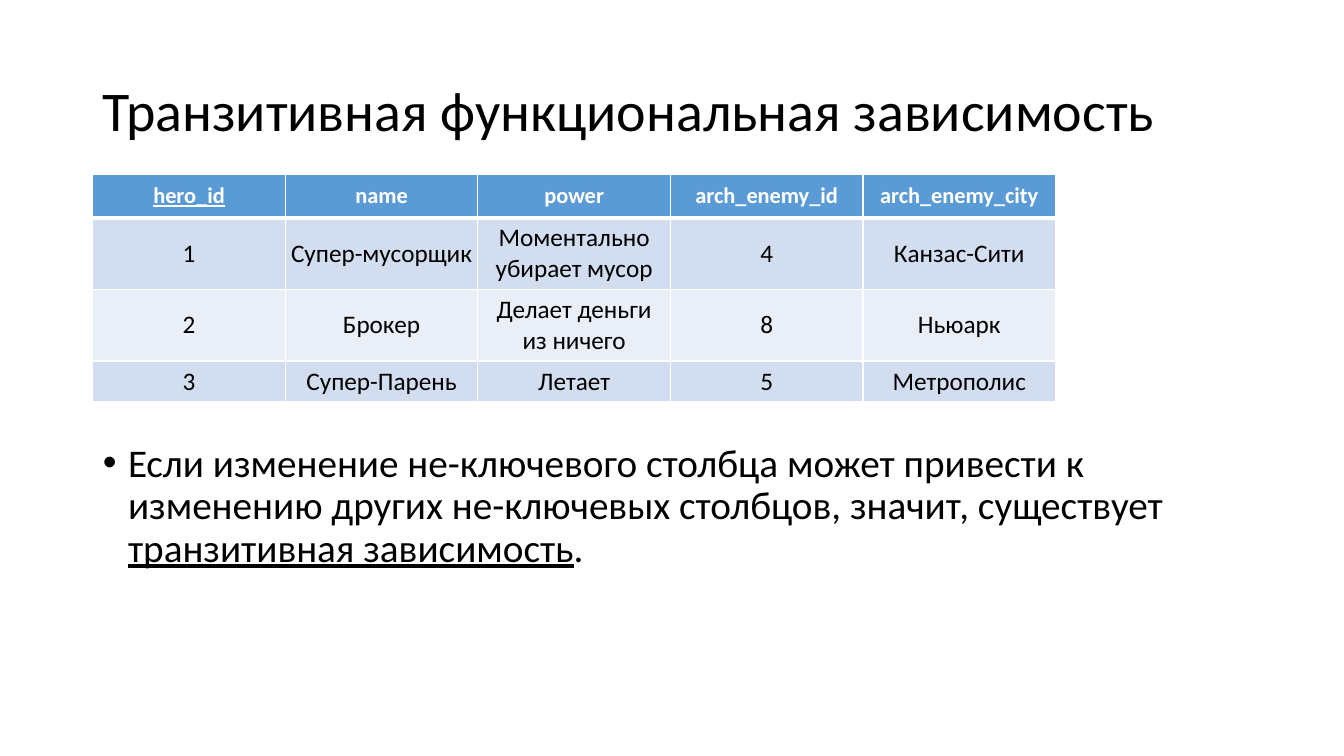
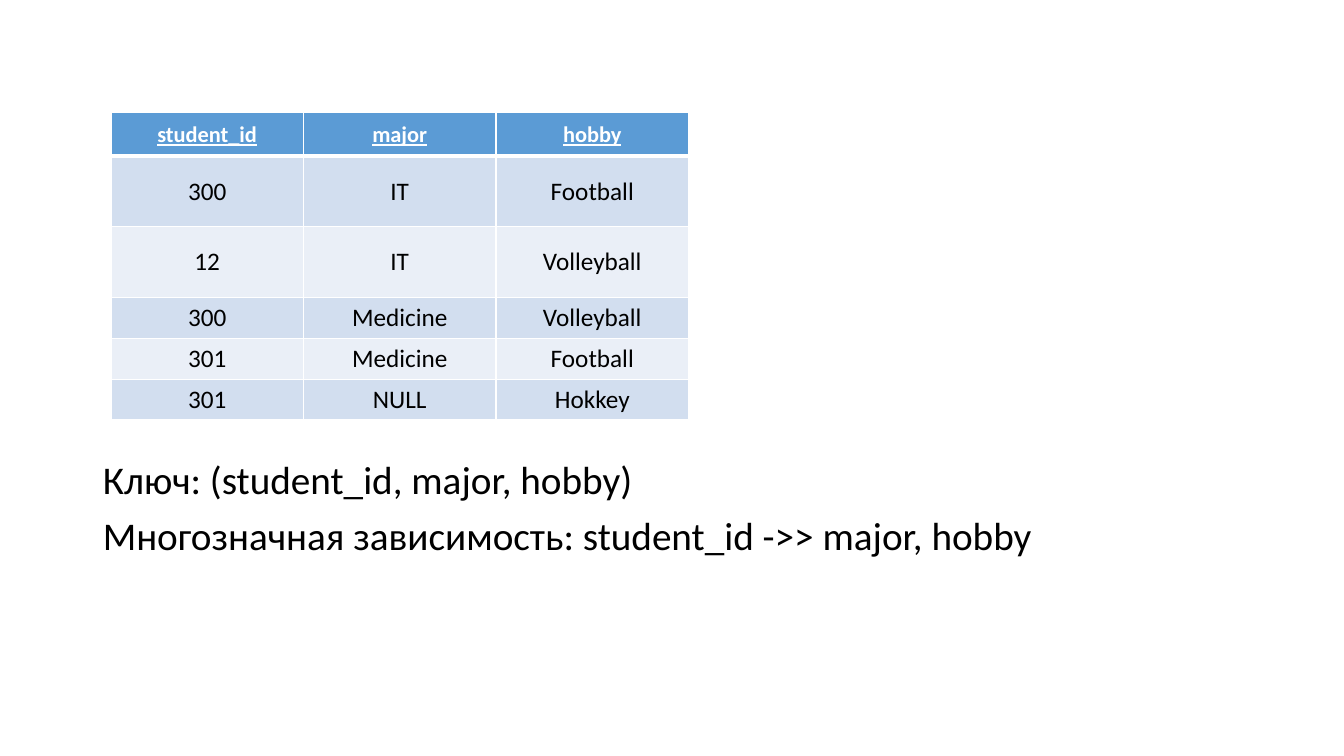
from lxml.etree import SubElement
from pptx import Presentation
from pptx.dml.color import RGBColor
from pptx.enum.text import MSO_ANCHOR, PP_ALIGN
from pptx.oxml import parse_xml
from pptx.oxml.ns import nsdecls, qn
from pptx.util import Inches, Pt

# Content: runs are (text, underlined)
SLIDES = [
    {
        "title": "Транзитивная функциональная зависимость",
        "table": {
            "at": (0.92, 1.73),
            "keys": {"hero_id"},
            "heights": [0.43, 0.7, 0.7, 0.4],
            "rows": [
                ("hero_id", "name", "power", "arch_enemy_id", "arch_enemy_city"),
                ("1", "Супер-мусорщик", "Моментально убирает мусор", "4", "Канзас-Сити"),
                ("2", "Брокер", "Делает деньги из ничего", "8", "Ньюарк"),
                ("3", "Супер-Парень", "Летает", "5", "Метрополис"),
            ],
        },
        "body_top": 4.35,
        "bullets": True,
        "body": [
            [("Если изменение не-ключевого столбца может привести к изменению "
              "других не-ключевых столбцов, значит, существует ", False),
             ("транзитивная зависимость", True),
             (".", False)],
        ],
    },
    {
        "title": None,
        "table": {
            "at": (1.1, 1.12),
            "keys": {"student_id", "major", "hobby"},
            "heights": [0.43, 0.7, 0.7, 0.4, 0.4, 0.4],
            "rows": [
                ("student_id", "major", "hobby"),
                ("300", "IT", "Football"),
                ("12", "IT", "Volleyball"),
                ("300", "Medicine", "Volleyball"),
                ("301", "Medicine", "Football"),
                ("301", "NULL", "Hokkey"),
            ],
        },
        "body_top": 4.52,
        "bullets": False,
        "body": [
            [("Ключ: (student_id, major, hobby)", False)],
            [("Многозначная зависимость: student_id ->> major, hobby", False)],
        ],
    },
]

THEME = {
    "font": "Calibri",
    "text": "000000", "white": "FFFFFF",
    "header": "5B9BD5", "bands": ("D2DEEF", "EAEFF7"),
    "title_size": 40, "body_size": 28, "header_size": 16, "cell_size": 18,
    "border": 1, "header_border": 3,
}
LEFT, WIDTH = 0.92, 11.5
TITLE_TOP, TITLE_HEIGHT = 0.4, 1.45
BODY_BOTTOM = 6.76
COL_WIDTH = 1.91
CELL_INSET = 0.05


def place(sp, left, top, width, height):
    box = {"left": left, "top": top, "width": width, "height": height}
    for name, value in box.items():
        setattr(sp, name, Inches(value))


def add_run(p, text, size, color=THEME["text"], **extra):
    r = p.add_run()
    r.text = text
    for name, value in {"name": THEME["font"], "size": Pt(size), **extra}.items():
        setattr(r.font, name, value)
    r.font.color.rgb = RGBColor.from_string(color)


def set_borders(cell, top, bottom):
    widths = {"lnL": THEME["border"], "lnR": THEME["border"], "lnT": top, "lnB": bottom}
    tcPr = cell._tc.get_or_add_tcPr()
    for i, (tag, width) in enumerate(widths.items()):
        tcPr.insert(i, parse_xml(
            f'<a:{tag} {nsdecls("a")} w="{Pt(width)}"><a:solidFill>'
            f'<a:srgbClr val="{THEME["white"]}"/></a:solidFill></a:{tag}>'))


def add_title(s, text):
    sp = s.shapes.title
    if text is None:
        sp.element.getparent().remove(sp.element)
        return
    place(sp, LEFT, TITLE_TOP, WIDTH, TITLE_HEIGHT)
    tf = sp.text_frame
    tf.vertical_anchor = MSO_ANCHOR.MIDDLE
    p = tf.paragraphs[0]
    p.alignment, p.line_spacing = PP_ALIGN.LEFT, 0.9
    add_run(p, text, THEME["title_size"])


def add_body(s, paragraphs, top, bullets):
    sp = s.placeholders[1]
    place(sp, LEFT, top, WIDTH, BODY_BOTTOM - top)
    tf = sp.text_frame
    indent = Inches(0.25) if bullets else 0
    for i, runs in enumerate(paragraphs):
        p = tf.add_paragraph() if i else tf.paragraphs[0]
        p.line_spacing, p.space_before = 0.9, Pt(10)
        pPr = p._p.get_or_add_pPr()
        pPr.set("marL", str(indent))
        pPr.set("indent", str(-indent))
        if bullets:
            SubElement(pPr, qn("a:buFont"), typeface="Arial")
            SubElement(pPr, qn("a:buChar"), char="•")
        else:
            SubElement(pPr, qn("a:buNone"))
        for text, underlined in runs:
            add_run(p, text, THEME["body_size"], underline=underlined)


def add_data_table(s, at, keys, heights, rows):
    left, top = at
    n_cols = len(rows[0])
    table = s.shapes.add_table(
        len(rows), n_cols, Inches(left), Inches(top),
        Inches(COL_WIDTH * n_cols), Inches(sum(heights))).table
    for col in table.columns:
        col.width = Inches(COL_WIDTH)
    for i, (height, values) in enumerate(zip(heights, rows)):
        table.rows[i].height = Inches(height)
        header = i == 0
        fill = THEME["header"] if header else THEME["bands"][(i - 1) % 2]
        for j, value in enumerate(values):
            cell = table.cell(i, j)
            cell.vertical_anchor = MSO_ANCHOR.MIDDLE
            cell.fill.solid()
            cell.fill.fore_color.rgb = RGBColor.from_string(fill)
            # The thick rule sits between the header and the first row
            set_borders(cell, THEME["header_border" if i == 1 else "border"],
                        THEME["header_border" if header else "border"])
            p = cell.text_frame.paragraphs[0]
            p.alignment = PP_ALIGN.CENTER
            if header:
                add_run(p, value, THEME["header_size"], THEME["white"],
                        bold=True, underline=value in keys)
            else:
                for side in ("left", "top", "right", "bottom"):
                    setattr(cell, f"margin_{side}", Inches(CELL_INSET))
                add_run(p, value, THEME["cell_size"], bold=False)


def main():
    prs = Presentation()
    prs.slide_width, prs.slide_height = Inches(13.33), Inches(7.5)
    for content in SLIDES:
        s = prs.slides.add_slide(prs.slide_layouts[1])
        add_title(s, content["title"])
        add_body(s, content["body"], content["body_top"], content["bullets"])
        add_data_table(s, **content["table"])
    prs.save("out.pptx")


if __name__ == "__main__":
    main()
